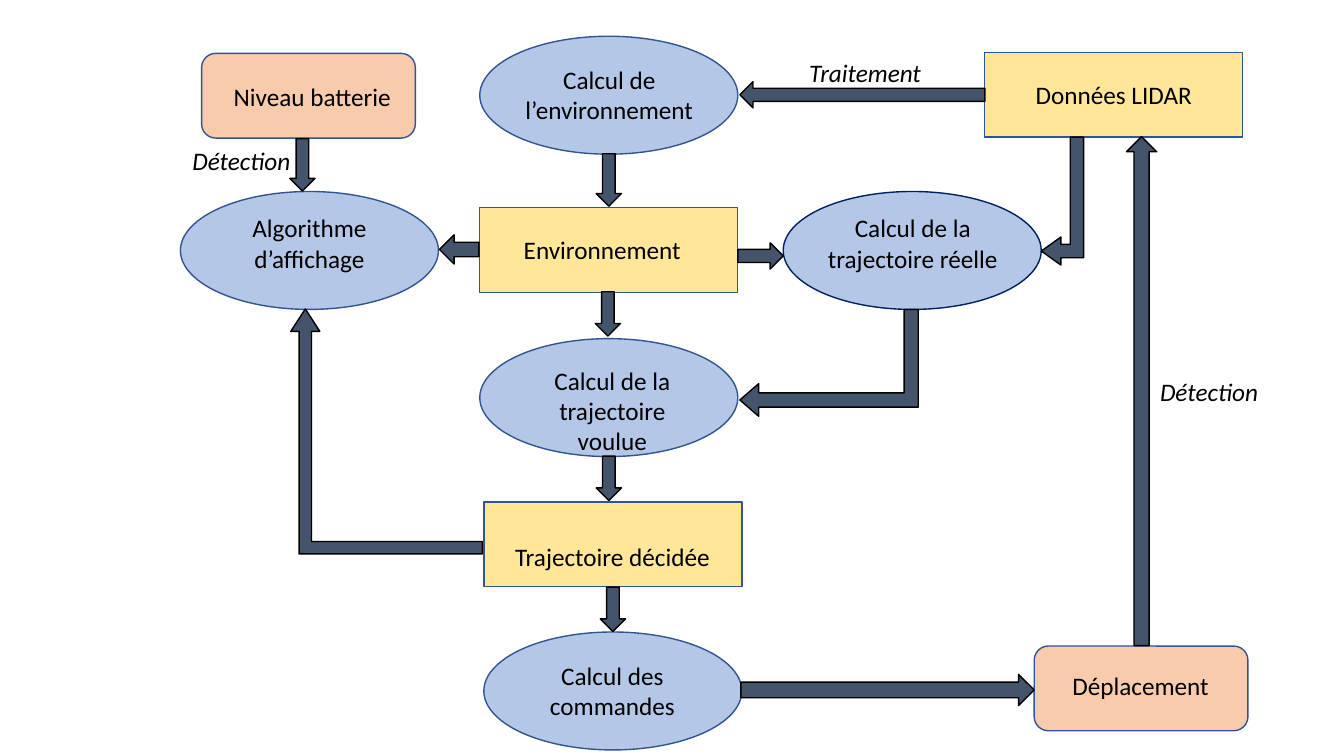
"""Build the flow chart of a vehicle's perception and trajectory control."""
from pptx import Presentation
from pptx.dml.color import RGBColor
from pptx.enum.shapes import MSO_SHAPE
from pptx.enum.text import MSO_AUTO_SIZE, PP_ALIGN
from pptx.util import Inches, Pt

CELL = Inches(0.1)
SLIDE_COLUMNS, SLIDE_ROWS = 133.33, 75

DATA = MSO_SHAPE.RECTANGLE
CALCULATION = MSO_SHAPE.OVAL
DEVICE = MSO_SHAPE.FLOWCHART_ALTERNATE_PROCESS
STRAIGHT = MSO_SHAPE.RIGHT_ARROW
BENT = MSO_SHAPE.BENT_ARROW
LEFT, CENTER = PP_ALIGN.LEFT, PP_ALIGN.CENTER
FIT_SHAPE = MSO_AUTO_SIZE.SHAPE_TO_FIT_TEXT

YELLOW = RGBColor(0xFF, 0xE6, 0x99)
LIGHT_BLUE = RGBColor(0xB4, 0xC7, 0xE7)
PEACH = RGBColor(0xF8, 0xCB, 0xAD)
SLATE = RGBColor(0x44, 0x54, 0x6A)
BLUE = RGBColor(0x32, 0x54, 0x91)
NAVY = RGBColor(0x00, 0x20, 0x60)
BLACK = RGBColor(0x00, 0x00, 0x00)

NODE_STYLES = {
    DATA: (25.6, 8.4, YELLOW, CENTER),
    CALCULATION: (25.6, 11.7, LIGHT_BLUE, CENTER),
    DEVICE: (21.2, 8.4, PEACH, LEFT),
}
LINE_HEIGHTS = {1: 4, 2: 7.1, 3: 10.1}
RIGHT, DOWN, TO_LEFT, UP = 0, 90, 180, 270

# Kind, node column and row, text, label column, row, width and line count
NODES = [
    (DATA, 97.7, 5.2, "Données LIDAR", 100.5, 7.4, 20, 1),
    (DATA, 48, 49.8, "Trajectoire décidée", 44.8, 53.2, 31.9, 1),
    (DATA, 47.6, 20.6, "Environnement", 49.4, 22.8, 20.7, 1),
    (CALCULATION, 47.6, 3.6, "Calcul de l’environnement", 50.6, 5.9, 19.7, 2),
    (CALCULATION, 48, 62.7, "Calcul des commandes", 53.5, 65, 14.5, 2),
    (CALCULATION, 47.6, 33.6, "Calcul de la trajectoire voulue", 50.9, 35.7, 19.7, 3),
    (CALCULATION, 77.7, 19, "Calcul de la trajectoire réelle", 79.8, 20.6, 21.5, 2),
    (CALCULATION, 17.9, 19, "Algorithme d’affichage", 20.6, 20.6, 20.2, 2),
    (DEVICE, 20, 5.3, "Niveau batterie", 22.2, 7.6, 18.5, 1),
    (DEVICE, 102.6, 64.1, "Déplacement", 105.4, 66, 19, 1),
]

# Column, row, width and height as seen, then direction
STRAIGHT_ARROWS = [
    (73.4, 8.1, 24.3, 2.6, TO_LEFT),
    (111.75, 13.55, 3, 50.5, UP),
    (43.6, 23.3, 3.9, 2.9, TO_LEFT),
    (73.5, 66.9, 29.1, 3.1, RIGHT),
    (73.2, 24.1, 4.5, 2.6, RIGHT),
    (59.55, 58.25, 2.5, 4.4, DOWN),
    (59.15, 45.25, 2.5, 4.4, DOWN),
    (59.05, 28.95, 2.5, 4.4, DOWN),
    (59.15, 15.25, 2.5, 5.2, DOWN),
    (28.75, 13.75, 2.5, 5.2, DOWN),
]
BENT_ARROWS = [
    (28.85, 30.65, 19, 24.3, UP, (0.065, 0.076, 0.117, 0)),
    (103.3, 13.6, 4.2, 12.7, TO_LEFT, (0.317, 0.332, 0.463, 0)),
    (73.4, 30.7, 17.7, 10.6, TO_LEFT, (0.133, 0.153, 0.176, 0)),
]
ARROW_CAPTIONS = [
    ("Détection", 18.1, 13.9, 16.8),
    ("Détection", 114.1, 36.8, 15.6),
    ("Traitement", 79.3, 5.2, 17.6),
]


def grid(*cells):
    """Convert grid cells to slide lengths."""
    return [round(cell * CELL) for cell in cells]


def add_outlined_shape(slide, kind, box, fill, line):
    """Add a flat preset shape with a one-point outline."""
    shape = slide.shapes.add_shape(kind, *grid(*box))
    shape.shadow.inherit = False
    shape.fill.solid()
    shape.fill.fore_color.rgb = fill
    shape.line.color.rgb = line
    shape.line.width = Pt(1)
    return shape


def add_label(slide, text, column, row, width, lines=1, alignment=LEFT, italic=False):
    """Add a wrapped text box sized for its number of lines."""
    box = slide.shapes.add_textbox(*grid(column, row, width, LINE_HEIGHTS[lines]))
    frame = box.text_frame
    frame.word_wrap = True
    frame.auto_size = FIT_SHAPE
    frame.text = text
    paragraph = frame.paragraphs[0]
    paragraph.alignment = alignment
    paragraph.font.name = "Calibri"
    paragraph.font.size = Pt(18)
    paragraph.font.italic = italic
    paragraph.font.color.rgb = BLACK


def add_node(slide, kind, column, row, text, *label_place):
    """Add a flow chart node and its label."""
    width, height, fill, alignment = NODE_STYLES[kind]
    shape = add_outlined_shape(slide, kind, (column, row, width, height), fill, BLUE)
    add_label(slide, text, *label_place, alignment=alignment)
    return shape


def add_arrow(slide, kind, column, row, width, height, direction, adjustments=()):
    """Add a block arrow that fills the given box once it is turned."""
    if direction in (UP, DOWN):
        column += (width - height) / 2
        row += (height - width) / 2
        width, height = height, width
    arrow = add_outlined_shape(slide, kind, (column, row, width, height), SLATE, BLACK)
    arrow.rotation = direction
    for index, value in enumerate(adjustments):
        arrow.adjustments[index] = value


def main():
    """Build and save the slide."""
    presentation = Presentation()
    presentation.slide_width, presentation.slide_height = grid(SLIDE_COLUMNS, SLIDE_ROWS)
    slide = presentation.slides.add_slide(presentation.slide_layouts[6])
    nodes = {node[3]: add_node(slide, *node) for node in NODES}
    nodes["Calcul de la trajectoire réelle"].line.color.rgb = NAVY
    for arrow in STRAIGHT_ARROWS:
        add_arrow(slide, STRAIGHT, *arrow)
    for arrow in BENT_ARROWS:
        add_arrow(slide, BENT, *arrow)
    for caption in ARROW_CAPTIONS:
        add_label(slide, *caption, italic=True)
    presentation.save("out.pptx")


if __name__ == "__main__":
    main()
